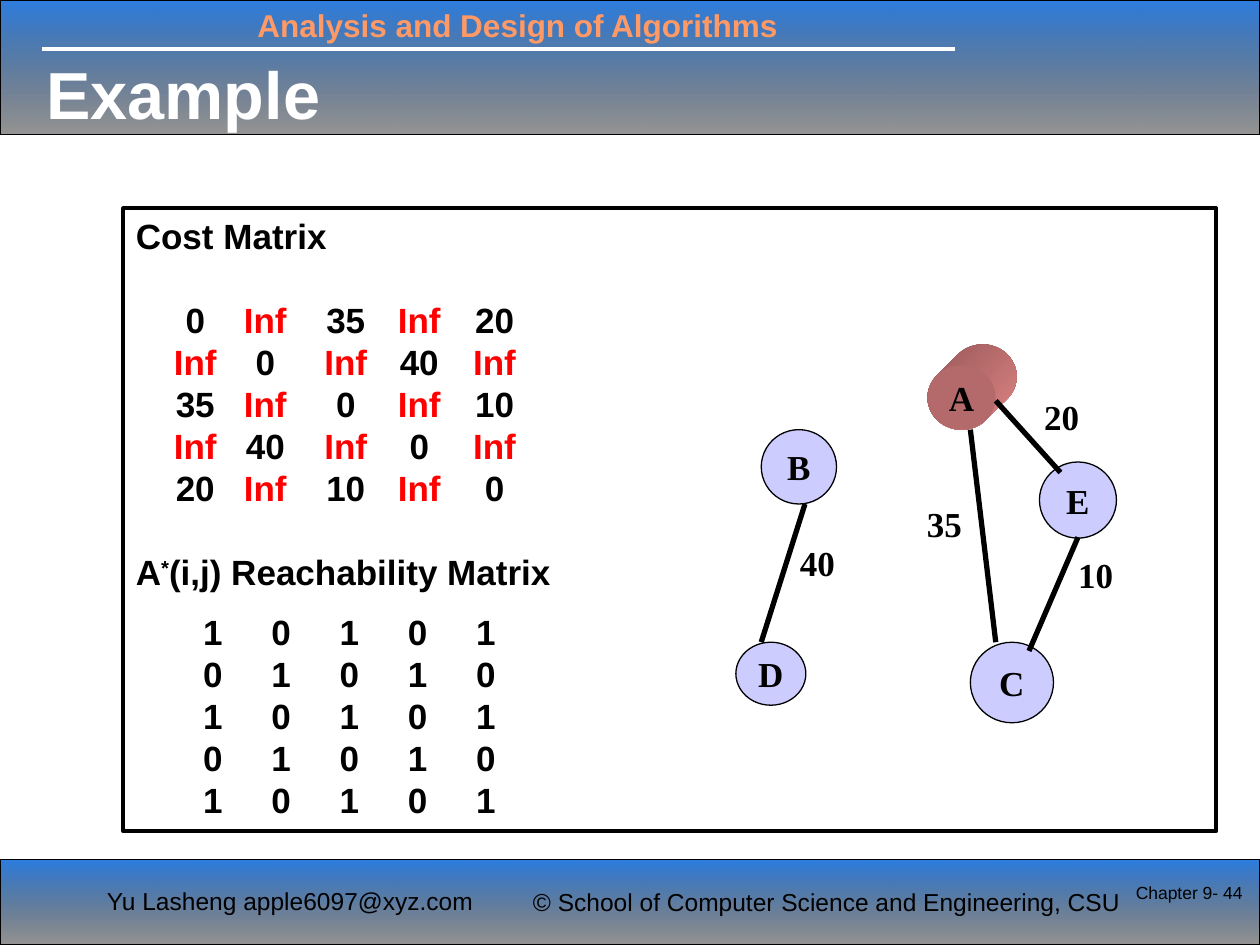
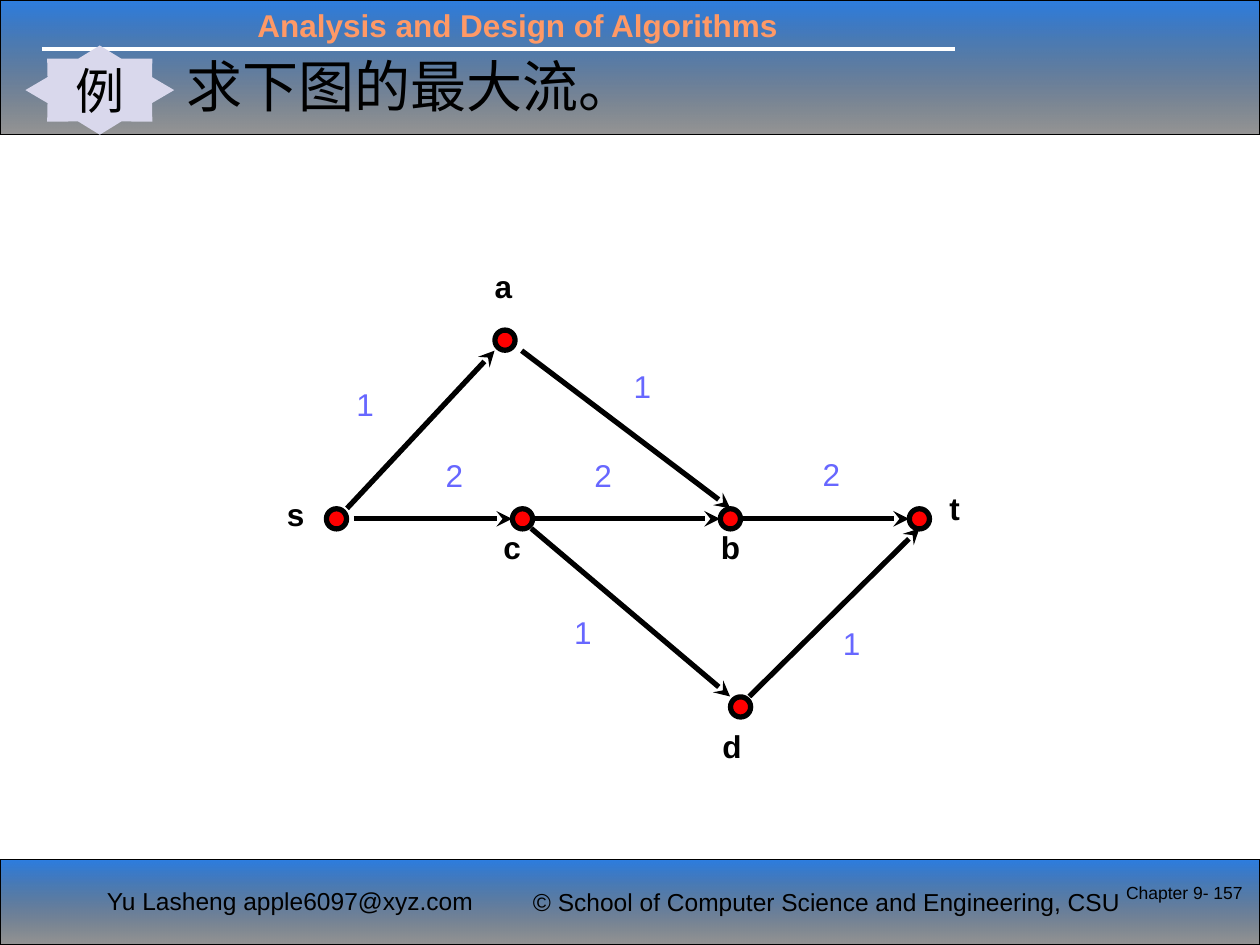
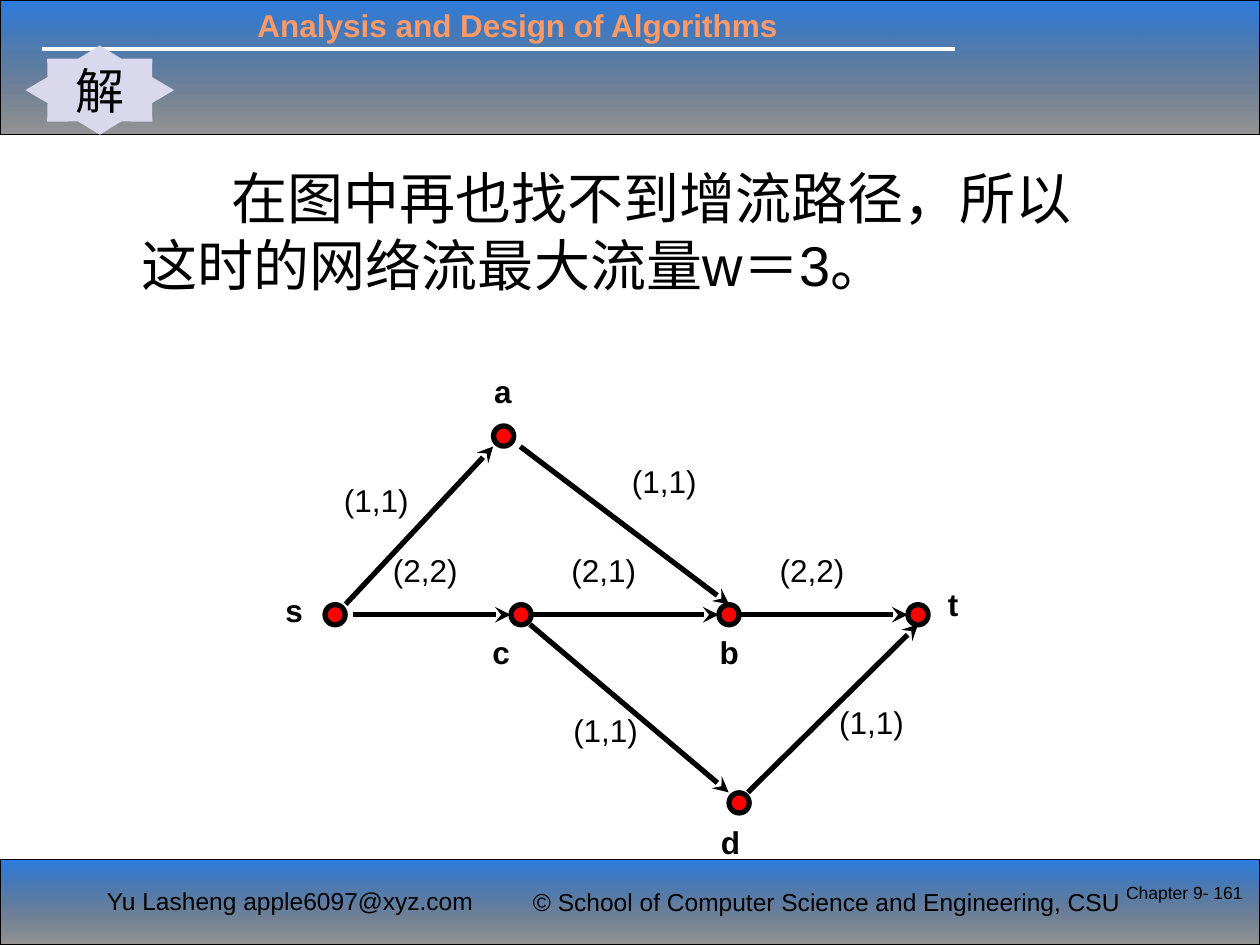
import math

from lxml import etree
from pptx import Presentation
from pptx import util as u
from pptx.dml import color as dml
from pptx.enum import shapes, text
from pptx.oxml import ns

Pt = u.Pt

COLORS = {
    "black": "000000", "white": "FFFFFF", "band": "0E6BDC", "course": "FF9966",
    "inf": "FF0000", "vertex": "CCCCFF", "star": "D9D8EC", "dot": "FF0000",
    "capacity": "6767FF", "front": "B46A6A", "side dark": "965858", "side light": "E08484",
}
SANS, SERIF = "Arial", "Times New Roman"
BOLD_20 = {"size": Pt(20), "bold": True}
BOLD_18 = {"size": Pt(18), "bold": True}
MIDDLE = {"vertical_anchor": text.MSO_ANCHOR.MIDDLE}
CENTERED = {"alignment": text.PP_ALIGN.CENTER}
RIGHT = {"alignment": text.PP_ALIGN.RIGHT}


def rgb(name):
    return dml.RGBColor.from_string(COLORS[name])


def assign(target, values):
    for name, value in values.items():
        setattr(target, name, value)


class Lecture:
    """Holds the deck style and the slide being drawn."""

    def __init__(self):
        self.deck = Presentation()
        self.deck.slide_width, self.deck.slide_height = Pt(720), Pt(540)
        self.page = None

    def new_page(self, number):
        self.page = self.deck.slides.add_slide(self.deck.slide_layouts[6])
        for top, height in ((0, 77), (491, 49)):
            band = self.shape((0, top, 720, height), line=0.75)
            self.gradient(band, 270, (("band", 88), ("black", 41)))
        self.line((24, 28), (546, 28), "white", 2.25)
        self.text((140, 0, 360, 29), "Analysis and Design of Algorithms", BOLD_18, "course")
        footer = {"size": Pt(14)}
        self.text((54, 502.5, 231, 41), "Yu Lasheng apple6097@xyz.com", footer, wrap=False)
        self.text((297.5, 503.5, 368, 24),
                  "© School of Computer Science and Engineering, CSU", footer, wrap=False)
        self.text((626.5, 500.5, 90.5, 36), f"Chapter 9- {number}", {"size": Pt(10)}, para=RIGHT)

    # Text
    def set_text(self, box, paragraphs, font, color="black", para=None, frame=None, wrap=True):
        """Each paragraph is (spans, format, tab stops); each span is (words, colour, baseline)."""
        body = box.text_frame
        body.word_wrap = wrap
        assign(body, frame or {})
        if isinstance(paragraphs, str):
            paragraphs = [([(paragraphs, color, 0)], para or {}, ())]
        for index, (spans, layout, stops) in enumerate(paragraphs):
            item = body.paragraphs[0] if index == 0 else body.add_paragraph()
            self.layout(item, layout, stops)
            for words, hue, baseline in spans:
                span = item.add_run()
                span.text = words
                assign(span.font, {"name": SANS, **font})
                span.font.color.rgb = rgb(hue)
                if baseline:
                    span.font._element.set("baseline", str(baseline * 1000))

    def layout(self, item, layout, stops):
        properties = item._p.get_or_add_pPr()
        for name in ("marL", "indent"):
            if name in layout:
                properties.set(name, str(Pt(layout[name])))
        assign(item, {k: v for k, v in layout.items() if k not in ("marL", "indent")})
        if stops:
            tabs = etree.SubElement(properties, ns.qn("a:tabLst"))
            for stop in stops:
                etree.SubElement(tabs, ns.qn("a:tab"), pos=str(Pt(stop)), algn="ctr")

    def text(self, place, paragraphs, font, color="black", **options):
        box = self.page.shapes.add_textbox(*map(Pt, place))
        self.set_text(box, paragraphs, font, color, **options)

    # Shapes
    def paint(self, shape, fill=None, line=None):
        shape.shadow.inherit = False
        if fill:
            shape.fill.solid()
            shape.fill.fore_color.rgb = rgb(fill)
        else:
            shape.fill.background()
        if line:
            shape.line.color.rgb = rgb("black")
            shape.line.width = Pt(line)
        else:
            shape.line.fill.background()
        return shape

    def shape(self, place, kind=shapes.MSO_SHAPE.RECTANGLE, fill=None, line=None):
        return self.paint(self.page.shapes.add_shape(kind, *map(Pt, place)), fill, line)

    def gradient(self, shape, angle, stops):
        shape.fill.gradient()
        shape.fill.gradient_angle = angle
        for stop, (name, _) in zip(shape.fill.gradient_stops, stops):
            stop.color.rgb = rgb(name)
        hues = shape._element.spPr.find(ns.qn("a:gradFill")).iter(ns.qn("a:srgbClr"))
        for hue, (_, opacity) in zip(list(hues), stops):
            etree.SubElement(hue, ns.qn("a:alpha"), val=str(opacity * 1000))

    def vertex(self, name, place, fill="vertex", line=0.75):
        oval = self.shape(place, shapes.MSO_SHAPE.OVAL, fill, line)
        self.set_text(oval, name, {**BOLD_20, "name": SERIF},
                      para=CENTERED, frame=MIDDLE, wrap=False)

    def cylinder(self, name, place, shift):
        """Oval face with a side swept up and to the right."""
        left, top, width, height = place
        points = []
        for degrees in range(-135, 226, 5):
            step = shift if degrees <= 45 else 0
            angle = math.radians(degrees)
            points.append((Pt(left + width / 2 * (1 + math.cos(angle)) + step),
                           Pt(top + height / 2 * (1 + math.sin(angle)) - step)))
        builder = self.page.shapes.build_freeform(*points[0])
        builder.add_line_segments(points[1:])
        side = self.paint(builder.convert_to_shape())
        self.gradient(side, 315, (("side dark", 100), ("side light", 100)))
        self.vertex(name, place, "front", None)

    def star(self, word):
        badge = self.shape((14.5, 26, 85, 51), shapes.MSO_SHAPE.STAR_8_POINT, "star")
        badge.adjustments[0] = 0.38
        self.set_text(badge, word, {"size": Pt(28)}, para=CENTERED, frame=MIDDLE, wrap=False)

    def line(self, start, end, color="black", width=3, arrow=False):
        edge = self.page.shapes.add_connector(
            shapes.MSO_CONNECTOR.STRAIGHT, *map(Pt, (*start, *end)))
        edge.line.color.rgb = rgb(color)
        edge.line.width = Pt(width)
        properties = edge._element.spPr
        if arrow:
            etree.SubElement(properties.find(ns.qn("a:ln")), ns.qn("a:tailEnd"), type="stealth")
        etree.SubElement(properties, ns.qn("a:effectLst"))

    # Flow network
    def network(self, shift, captions, flows, color, width):
        """Captions are offsets from their node; flows are label corners by edge."""
        nodes = {name: (x + shift[0], y + shift[1]) for name, (x, y) in NODES.items()}
        for (tail, head), (leave, arrive) in EDGES.items():
            start, end = ([place + gap for place, gap in zip(nodes[name], gaps)]
                          for name, gaps in ((tail, leave), (head, arrive)))
            self.line(start, end, arrow=True)
        for name, (x, y) in nodes.items():
            self.shape((x - 5.75, y - 5.75, 11.5, 11.5), shapes.MSO_SHAPE.OVAL, "dot", 3)
            dx, dy = captions[name]
            self.text((x + dx, y + dy, 26, 36), name, BOLD_18, wrap=False)
        for words, left, top in flows.values():
            self.text((left, top, width, 36), words, {"size": Pt(18)}, color, wrap=False)


NODES = {"a": (288.6, 194.4), "s": (192.3, 296.5), "c": (298.6, 296.5),
         "t": (525.4, 296.5), "d": (423.2, 404), "b": (417.4, 296.5)}
# Gaps between each edge end and its node's centre
EDGES = {
    "sa": ((6, -6), (-6, 6)), "ab": ((9.5, 6), (0, -6)), "cb": ((5.5, 0), (-6, 0)),
    "bt": ((5.5, 0), (-6, 0)), "sc": ((10, 0), (-6, 0)), "cd": ((5, 5.5), (-6, -6)),
    "dt": ((5, -6), (0, 5.5)),
}
CAPTIONS = {"s": (-35.5, -17), "a": (-13, -45.5), "b": (-12.5, 1.5),
            "c": (-18, 1.5), "d": (-17.5, 8), "t": (10, -20.5)}
CAPACITIES = {
    "sa": ("1", 196.5, 216.5), "ab": ("1", 355, 206), "bt": ("2", 463, 256.5),
    "cb": ("2", 332.5, 257), "sc": ("2", 247.5, 257), "cd": ("1", 321, 347),
    "dt": ("1", 474.5, 353),
}
FLOWS = {
    "sa": ("(1,1)", 189.5, 271.5), "ab": ("(1,1)", 354, 260.5), "bt": ("(2,2)", 438.5, 311.5),
    "cb": ("(2,1)", 319.5, 311.5), "sc": ("(2,2)", 217.5, 311.5), "cd": ("(1,1)", 320.5, 402.5),
    "dt": ("(1,1)", 472.5, 398),
}
COSTS = ["0 Inf 35 Inf 20", "Inf 0 Inf 40 Inf", "35 Inf 0 Inf 10",
         "Inf 40 Inf 0 Inf", "20 Inf 10 Inf 0"]
REACHABLE = ["1 0 1 0 1", "0 1 0 1 0"] * 2 + ["1 0 1 0 1"]
LINE = {"line_spacing": Pt(24), "alignment": text.PP_ALIGN.LEFT}
GAP = {**LINE, "space_before": Pt(24)}


def matrix(rows, stops, first=LINE):
    return [([("\t" + cell, "inf" if cell == "Inf" else "black", 0) for cell in row.split()],
             first if index == 0 else LINE, stops) for index, row in enumerate(rows)]


def example(lecture):
    lecture.new_page(44)
    frame = lecture.shape((70.5, 119, 624.5, 356), line=2.25)
    heading = [("A", "black", 0), ("*", "black", 30), ("(i,j) Reachability Matrix", "black", 0)]
    paragraphs = [([("Cost Matrix", "black", 0)], LINE, ()),
                  *matrix(COSTS, (34, 74, 120, 162, 205), GAP), (heading, GAP, ())]
    lecture.set_text(frame, paragraphs, BOLD_20,
                     frame={"vertical_anchor": text.MSO_ANCHOR.TOP})
    lecture.text((19.5, 20, 612, 66), "Example", {"size": Pt(38), "bold": True}, "white",
                 frame=MIDDLE)
    # Weighted graph
    lecture.cylinder("A", (530, 208.8, 39, 36.8), 12)
    for name, place in {"E": (594, 264, 44, 43.5), "C": (554.5, 367, 47.5, 46),
                        "B": (435, 245.5, 43, 42.5), "D": (420.5, 367, 40, 36)}.items():
        lecture.vertex(name, place)
    for start, end in (((460, 288), (435, 367)), ((554.5, 245.5), (569, 367)),
                       ((569, 229), (606, 270)), ((616, 307), (588, 372))):
        lecture.line(start, end)
    for weight, left, top in (("20", 589.5, 222.5), ("40", 450, 306),
                              ("35", 522.5, 283.5), ("10", 609, 312.5)):
        lecture.text((left, top, 34.5, 31), weight, {**BOLD_20, "name": SERIF}, wrap=False)
    stops = [33 + 39 * column for column in range(5)]
    lecture.text((81.5, 345.5, 209.5, 128), matrix(REACHABLE, stops), BOLD_20)


def question(lecture):
    lecture.new_page(157)
    lecture.text((99.5, 26, 432, 53), "求下图的最大流。", {"size": Pt(32)})
    lecture.star("例")
    lecture.network((0, 0), CAPTIONS, CAPACITIES, "capacity", 26)


def answer(lecture):
    lecture.new_page(161)
    lecture.text((47, 90, 601, 119), "在图中再也找不到增流路径，所以这时的网络流最大流量w＝3。",
                 {"size": Pt(32)}, para={"marL": 27, "indent": 51})
    lecture.star("解")
    captions = {**CAPTIONS, "a": (-12.5, -40), "b": (-12.5, 7), "c": (-23.5, 7)}
    lecture.network((-0.8, 54.8), captions, FLOWS, "black", 56)


def main():
    lecture = Lecture()
    for build in (example, question, answer):
        build(lecture)
    lecture.deck.save("out.pptx")


if __name__ == "__main__":
    main()
